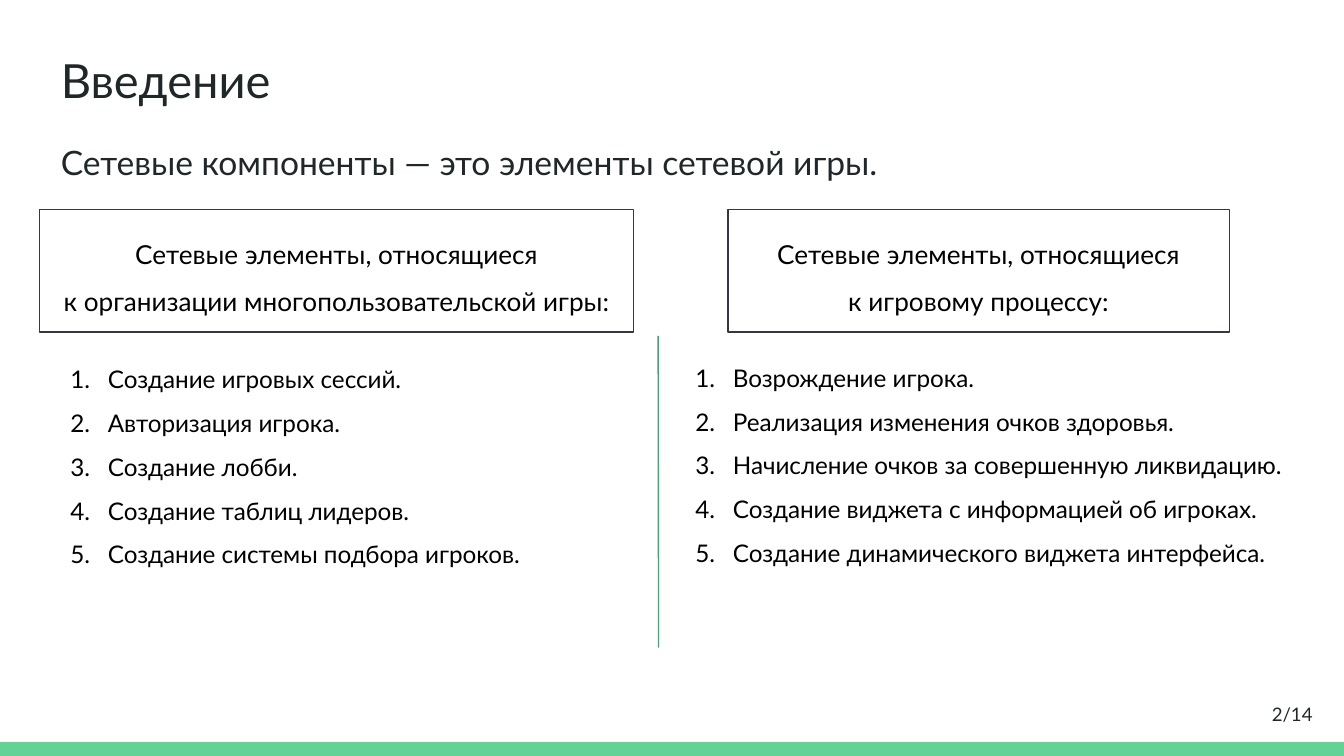
from lxml import etree
from pptx import Presentation
from pptx.dml.color import RGBColor
from pptx.enum.shapes import MSO_CONNECTOR, MSO_SHAPE
from pptx.enum.text import MSO_ANCHOR, MSO_AUTO_SIZE, PP_ALIGN
from pptx.oxml.ns import qn
from pptx.util import Inches, Pt

COLORS = {"text": "202729", "black": "000000", "frame": "353744",
          "divider": "4BA173", "footer": "63D297"}
FONT = "Lato"

# Widescreen slide, 16 by 9
deck = Presentation()
deck.slide_width = Inches(10)
deck.slide_height = deck.slide_width * 9 // 16
slide = deck.slides.add_slide(deck.slide_layouts[6])

# Square grid: 100 columns by 56.25 rows
COL, ROW = deck.slide_width / 100, deck.slide_height / 56.25


def cells(left, top, width, height):
    return [round(n * unit) for n, unit in
            ((left, COL), (top, ROW), (width, COL), (height, ROW))]


def write(holder, lines, size, color, align=PP_ALIGN.LEFT, spacing=None,
          after=None, numbered=False, anchor=MSO_ANCHOR.TOP, grow=False):
    frame = holder.text_frame
    frame.word_wrap = True
    frame.vertical_anchor = anchor
    frame.auto_size = MSO_AUTO_SIZE.SHAPE_TO_FIT_TEXT if grow else MSO_AUTO_SIZE.NONE
    frame.margin_left = frame.margin_right = Inches(0.1)
    frame.margin_top = frame.margin_bottom = Inches(0.1)
    for i, line in enumerate(lines):
        paragraph = frame.add_paragraph() if i else frame.paragraphs[0]
        paragraph.alignment = align
        paragraph.line_spacing = spacing
        paragraph.space_after = after
        run = paragraph.add_run()
        run.text = line
        run.font.size = Pt(size)
        run.font.name = FONT
        run.font.color.rgb = RGBColor.from_string(COLORS[color])
        if numbered:
            props = paragraph._p.get_or_add_pPr()
            props.set("marL", str(Inches(0.35)))
            props.set("indent", str(Inches(-0.28)))
            number_color = etree.SubElement(props, qn("a:buClr"))
            etree.SubElement(number_color, qn("a:srgbClr"), val=COLORS[color])
            etree.SubElement(props, qn("a:buFont"), typeface=FONT)
            etree.SubElement(props, qn("a:buAutoNum"), type="arabicPeriod")


# Footer bar
footer = slide.shapes.add_shape(MSO_SHAPE.RECTANGLE, *cells(0, 55.2, 100, 1.05))
footer.shadow.inherit = False
footer.fill.solid()
footer.fill.fore_color.rgb = RGBColor.from_string(COLORS["footer"])
footer.line.fill.background()

# Title, definition and page number
title = slide.shapes.add_textbox(*cells(3.54, 2.8, 93.2, 6.3))
write(title, ["Введение"], 25.2, "text")
definition = slide.shapes.add_textbox(*cells(3.54, 9.1, 93.2, 6.2))
write(definition, ["Сетевые компоненты — это элементы сетевой игры."], 18, "text",
      spacing=1.15, after=Pt(12))
page_number = slide.shapes.add_textbox(*cells(92.65, 51, 6, 4.3))
write(page_number, ["2/14"], 10, "text", align=PP_ALIGN.RIGHT, anchor=MSO_ANCHOR.MIDDLE)

# Two groups: framed heading above a numbered list
groups = [
    ((54.17, 15.6, 37.3, 9.1),
     ["Сетевые элементы, относящиеся", "к игровому процессу:"],
     (50.05, 24.95, 47.4, 18.5),
     ["Возрождение игрока.",
      "Реализация изменения очков здоровья.",
      "Начисление очков за совершенную ликвидацию.",
      "Создание виджета с информацией об игроках.",
      "Создание динамического виджета интерфейса."]),
    ((2.95, 15.6, 44.2, 9.1),
     ["Сетевые элементы, относящиеся", "к организации многопользовательской игры:"],
     (3.55, 25.05, 43.7, 18.4),
     ["Создание игровых сессий.",
      "Авторизация игрока.",
      "Создание лобби.",
      "Создание таблиц лидеров.",
      "Создание системы подбора игроков."]),
]
for heading_area, heading_lines, list_area, elements in groups:
    heading = slide.shapes.add_shape(MSO_SHAPE.RECTANGLE, *cells(*heading_area))
    heading.shadow.inherit = False
    heading.fill.background()
    heading.line.color.rgb = RGBColor.from_string(COLORS["frame"])
    heading.line.width = Pt(0.75)
    write(heading, heading_lines, 14, "black", align=PP_ALIGN.CENTER,
          spacing=1.5, grow=True)
    element_list = slide.shapes.add_textbox(*cells(*list_area))
    write(element_list, elements, 13, "black", spacing=1.5, numbered=True, grow=True)

# Divider between the groups
divider = slide.shapes.add_connector(MSO_CONNECTOR.STRAIGHT, *cells(48.97, 25, 49, 48.2))
divider.line.color.rgb = RGBColor.from_string(COLORS["divider"])
divider.line.width = Pt(0.75)
etree.SubElement(divider._element.spPr, qn("a:effectLst"))

deck.save("out.pptx")
